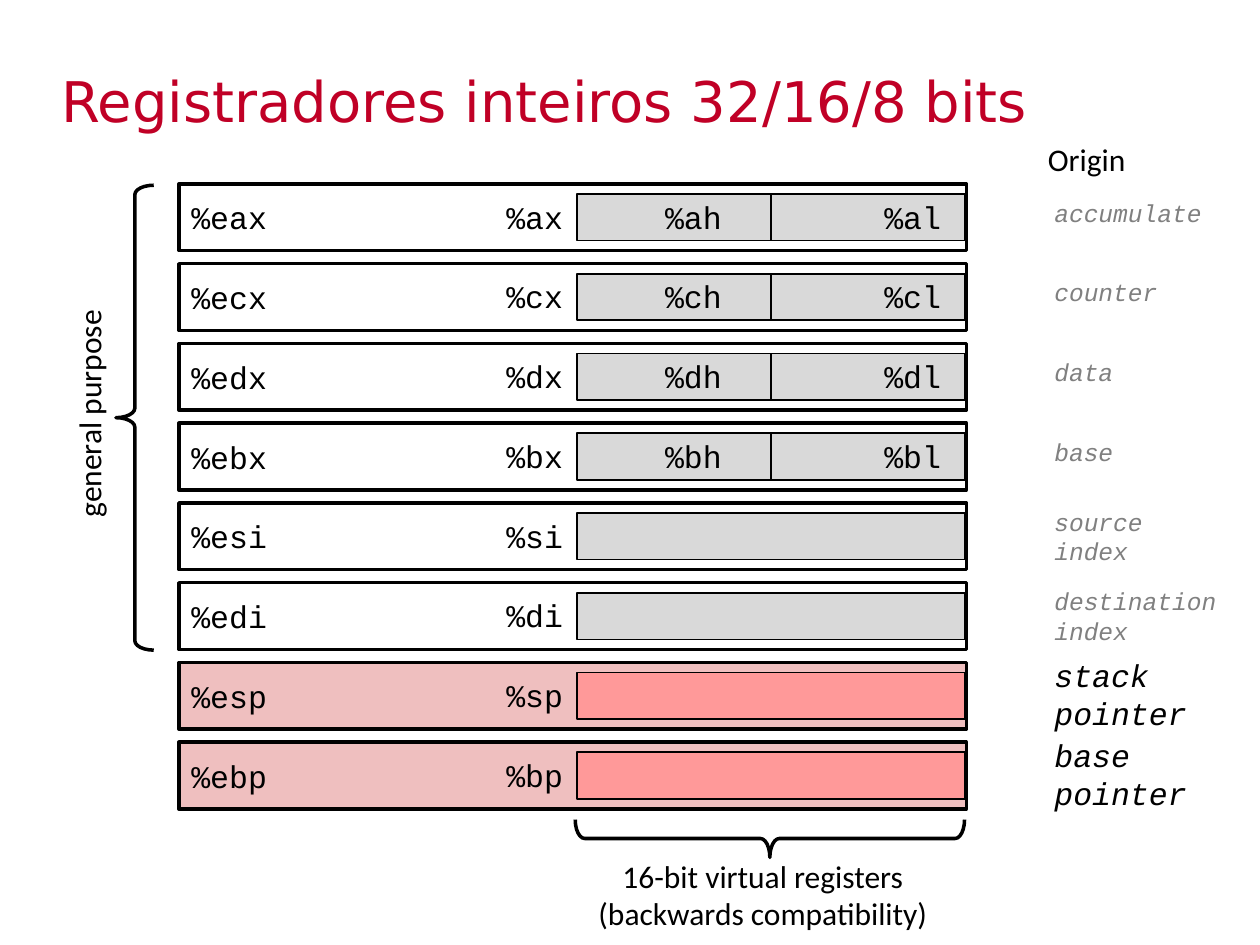
from lxml.etree import SubElement
from pptx import Presentation
from pptx.dml.color import RGBColor
from pptx.enum.shapes import MSO_CONNECTOR, MSO_SHAPE
from pptx.enum.text import MSO_ANCHOR, PP_ALIGN
from pptx.oxml.ns import qn
from pptx.util import Inches, Pt


class Theme:
    title, ink, muted = "C00026", "000000", "808080"
    white, gray, pink, red = "FFFFFF", "D9D9D9", "EFBFBF", "FF9999"
    title_font, code_font, label_font = "DejaVu Sans", "Courier New", "Calibri"
    title_size, body_size, small_size = 32, 18, 14
    thick, thin = 2, 1


TITLE = "Registradores inteiros 32/16/8 bits"
# 32-bit name, 16-bit name, 8-bit names, origin, is a pointer
REGISTERS = [
    ("%eax", "%ax", ("%ah", "%al"), "accumulate", False),
    ("%ecx", "%cx", ("%ch", "%cl"), "counter", False),
    ("%edx", "%dx", ("%dh", "%dl"), "data", False),
    ("%ebx", "%bx", ("%bh", "%bl"), "base", False),
    ("%esi", "%si", (), "source\nindex", False),
    ("%edi", "%di", (), "destination\nindex", False),
    ("%esp", "%sp", (), "stack\npointer", True),
    ("%ebp", "%bp", (), "base\npointer", True),
]

ROW_LEFT, ROW_TOP, ROW_WIDTH, ROW_HEIGHT, ROW_PITCH = 1.42, 1.46, 6.25, 0.53, 0.633
WORD_LEFT, WORD_WIDTH, WORD_HEIGHT = 4.58, 3.08, 0.37
WORD_NAME_LEFT, BYTE_NAME_LEFTS, NAME_WIDTH = 3.92, (5.18, 6.92), 0.75
ORIGIN_LEFT, ORIGIN_WIDTH = 8.27, 1.96


def write(shape, text, font=Theme.code_font, size=Theme.body_size, color=Theme.ink,
          italic=False, align=PP_ALIGN.LEFT, anchor=MSO_ANCHOR.TOP):
    """Fill a shape with text, one paragraph per line."""
    frame = shape.text_frame
    frame.word_wrap = True
    frame.vertical_anchor = anchor
    frame.text = text
    for para in frame.paragraphs:
        para.alignment = align
        for span in para.runs:
            span.font.name, span.font.size = font, Pt(size)
            span.font.italic = italic
            span.font.color.rgb = RGBColor.from_string(color)


def add_text(page, text, left, top, width, height, rotation=0, **style):
    box = page.shapes.add_textbox(*map(Inches, (left, top, width, height)))
    box.rotation = rotation
    write(box, text, **style)


def set_line(shape, weight):
    shape.line.color.rgb = RGBColor.from_string(Theme.ink)
    shape.line.width = Pt(weight)


def add_box(page, left, top, width, height, fill, weight):
    box = page.shapes.add_shape(MSO_SHAPE.RECTANGLE, *map(Inches, (left, top, width, height)))
    box.shadow.inherit = False
    box.fill.solid()
    box.fill.fore_color.rgb = RGBColor.from_string(fill)
    set_line(box, weight)
    return box


def add_divider(page, box):
    """Split a box into two halves with a vertical line."""
    line = page.shapes.add_connector(MSO_CONNECTOR.STRAIGHT, 0, 0, 0, 0)
    line.begin_connect(box, 0)
    line.end_connect(box, 2)
    set_line(line, Theme.thin)
    SubElement(line._element.spPr, qn("a:effectLst"))


def add_brace(page, left, top, width, height, rotation):
    brace = page.shapes.add_shape(MSO_SHAPE.RIGHT_BRACE,
                                  *map(Inches, (left, top, width, height)))
    brace.adjustments[0], brace.adjustments[1] = 0.25, 0.5
    brace.rotation = rotation
    brace.shadow.inherit = False
    brace.fill.background()
    set_line(brace, Theme.thick)


def add_origin(page, text, top, is_pointer):
    """Put one-line origins level with the names, two-line ones around the row."""
    if is_pointer:
        place, style = (top - 0.1, 0.7), {}
    else:
        place = (top - 0.02, 0.56) if "\n" in text else (top + 0.06, 0.33)
        style = {"size": Theme.small_size, "color": Theme.muted}
    add_text(page, text, ORIGIN_LEFT, place[0], ORIGIN_WIDTH, place[1], italic=True, **style)


def add_register(page, top, name, word_name, byte_names, origin, is_pointer):
    row_fill, word_fill = ((Theme.pink, Theme.red) if is_pointer
                           else (Theme.white, Theme.gray))
    row = add_box(page, ROW_LEFT, top, ROW_WIDTH, ROW_HEIGHT, row_fill, Theme.thick)
    write(row, name, anchor=MSO_ANCHOR.MIDDLE)
    word = add_box(page, WORD_LEFT, top + (ROW_HEIGHT - WORD_HEIGHT) / 2,
                   WORD_WIDTH, WORD_HEIGHT, word_fill, Theme.thin)
    if byte_names:
        add_divider(page, word)
    names = [(WORD_NAME_LEFT, word_name), *zip(BYTE_NAME_LEFTS, byte_names)]
    for left, label in names:
        add_text(page, label, left, top + 0.06, NAME_WIDTH, 0.4)
    add_origin(page, origin, top, is_pointer)


def main():
    deck = Presentation()
    deck.slide_width, deck.slide_height = Inches(10), Inches(7.5)
    page = deck.slides.add_slide(deck.slide_layouts[6])

    add_text(page, TITLE, 0.39, 0.48, 8.3, 0.83, font=Theme.title_font,
             size=Theme.title_size, color=Theme.title)
    for index, register in enumerate(REGISTERS):
        add_register(page, ROW_TOP + index * ROW_PITCH, *register)

    label = {"font": Theme.label_font}
    add_brace(page, 5.96, 5.11, 0.3, 3.09, rotation=90)
    add_text(page, "16-bit virtual registers\n(backwards compatibility)",
             4.58, 6.75, 2.95, 0.7, align=PP_ALIGN.CENTER, **label)
    add_brace(page, 0.92, 1.47, 0.3, 3.69, rotation=180)
    add_text(page, "general purpose", -0.47, 2.83, 2.35, 0.4, rotation=270, **label)
    add_text(page, "Origin", 7.29, 1.06, 2.67, 0.7, align=PP_ALIGN.CENTER, **label)

    deck.save("out.pptx")


if __name__ == "__main__":
    main()
